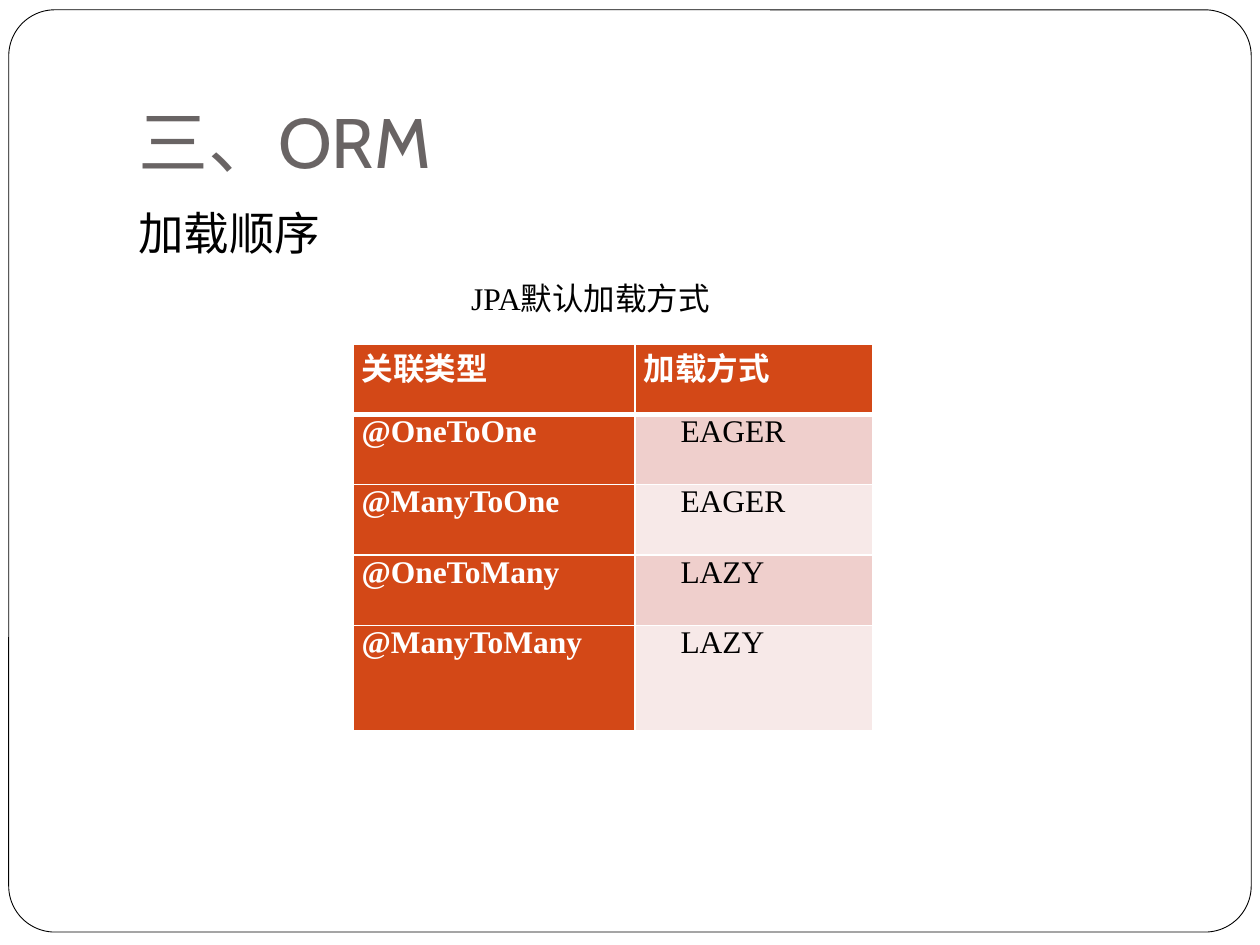
"""Builds the slide on the default loading strategies of JPA associations."""
from typing import NamedTuple

from lxml.etree import SubElement
from pptx import Presentation
from pptx.dml.color import RGBColor
from pptx.enum.shapes import MSO_SHAPE as Preset
from pptx.enum.text import MSO_ANCHOR as Anchor, PP_ALIGN as Align
from pptx.oxml.ns import qn
from pptx.util import Pt

ORANGE, WHITE, BLACK, GREY = "D34817", "FFFFFF", "000000", "696464"
BANDS = ("EFCFCC", "F7E9E8")
SERIF = "Times New Roman"
INDENT = 21
COLUMN_WIDTHS = (161.3, 136)
ROW_HEIGHTS = (40.2, 40.2, 40.2, 40.2, 60.2)


class Label(NamedTuple):
    text: str
    left: float
    top: float
    width: float
    height: float
    size: float
    font: str = SERIF
    color: str = BLACK
    anchor: Anchor = Anchor.TOP
    bottom_inset: float = 3.6
    indent: float = 0


class Loading(NamedTuple):
    association: str
    strategy: str


LABELS = (
    Label("三、ORM", 72, 21.6, 612, 90, 40, "Cabin", GREY, Anchor.BOTTOM, 7.2),
    Label("加载顺序", 72, 113.8, 612, 360, 26),
    Label("JPA默认加载方式", 241.2, 155, 244, 31, 18, anchor=Anchor.MIDDLE, indent=INDENT),
)
HEADER = Loading("关联类型", "加载方式")
LOADINGS = (
    Loading("@OneToOne", "EAGER"),
    Loading("@ManyToOne", "EAGER"),
    Loading("@OneToMany", "LAZY"),
    Loading("@ManyToMany", "LAZY"),
)


def paint(fill, color: str) -> None:
    """Give a fill one solid colour."""
    fill.solid()
    fill.fore_color.rgb = RGBColor.from_string(color)


def style_text(frame, size: float, font: str, color: str, bold: bool = False,
               indent: float = 0) -> None:
    """Format the only paragraph of a text frame."""
    paragraph = frame.paragraphs[0]
    if indent:
        paragraph._p.get_or_add_pPr().set("indent", str(Pt(indent)))
    for run in paragraph.runs:
        run.font.size, run.font.name, run.font.bold = Pt(size), font, bold
        paint(run.font.fill, color)


def add_frame(slide) -> None:
    """Draw the rounded outline round the slide."""
    frame = slide.shapes.add_shape(Preset.ROUNDED_RECTANGLE, Pt(5), Pt(5.6), Pt(710), Pt(527))
    frame.adjustments[0] = 0.05
    frame.shadow.inherit = False
    paint(frame.fill, WHITE)
    paint(frame.line.fill, BLACK)
    frame.line.width = Pt(0.5)


def add_label(slide, label: Label) -> None:
    """Add one line of free text."""
    box = slide.shapes.add_textbox(
        Pt(label.left), Pt(label.top), Pt(label.width), Pt(label.height))
    frame = box.text_frame
    frame.word_wrap = True
    frame.vertical_anchor = label.anchor
    frame.margin_bottom = Pt(label.bottom_inset)
    frame.text = label.text
    style_text(frame, label.size, label.font, label.color, indent=label.indent)


def add_borders(cell, bottom: float) -> None:
    """Draw white borders round a cell, the lower one in its own width."""
    properties = cell._tc.get_or_add_tcPr()
    for side, width in (("L", 1), ("R", 1), ("T", 1), ("B", bottom)):
        line = SubElement(properties, qn(f"a:ln{side}"), w=str(Pt(width)))
        SubElement(SubElement(line, qn("a:solidFill")), qn("a:srgbClr"), val=WHITE)


def fill_cell(cell, text: str, background: str, color: str, bold: bool,
              indent: float, bottom: float) -> None:
    """Write and style one table cell."""
    cell.margin_left = cell.margin_right = Pt(5)
    cell.margin_top = cell.margin_bottom = Pt(0)
    add_borders(cell, bottom)
    paint(cell.fill, background)
    cell.text_frame.text = text
    cell.text_frame.paragraphs[0].alignment = Align.JUSTIFY
    style_text(cell.text_frame, 18, SERIF, color, bold, indent)


def add_loading_table(slide) -> None:
    """Add the table of associations and loading strategies."""
    rows = (HEADER, *LOADINGS)
    table = slide.shapes.add_table(
        len(rows), len(COLUMN_WIDTHS), Pt(201.6), Pt(196.6),
        Pt(sum(COLUMN_WIDTHS)), Pt(sum(ROW_HEIGHTS))).table
    for column, width in zip(table.columns, COLUMN_WIDTHS):
        column.width = Pt(width)
    for index, (loading, height) in enumerate(zip(rows, ROW_HEIGHTS)):
        table.rows[index].height = Pt(height)
        bottom = 1 if index else 3
        for position, text in enumerate(loading):
            cell = table.cell(index, position)
            if index and position:
                band = BANDS[(index - 1) % len(BANDS)]
                fill_cell(cell, text, band, BLACK, False, INDENT, bottom)
            else:
                fill_cell(cell, text, ORANGE, WHITE, True, 0, bottom)


def main() -> None:
    """Build and save the slide."""
    deck = Presentation()
    deck.slide_width, deck.slide_height = Pt(720), Pt(540)
    slide = deck.slides.add_slide(deck.slide_layouts[6])
    add_frame(slide)
    add_loading_table(slide)
    for label in LABELS:
        add_label(slide, label)
    deck.save("out.pptx")


if __name__ == "__main__":
    main()
